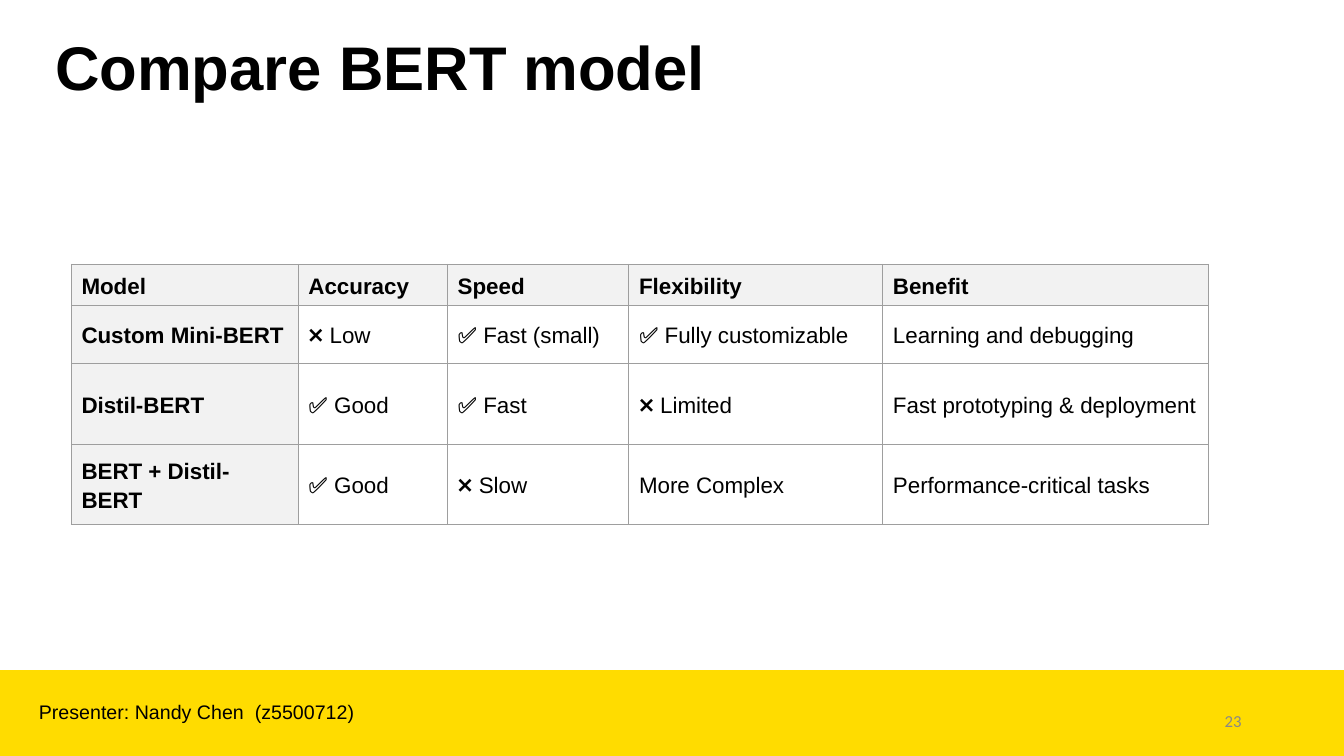
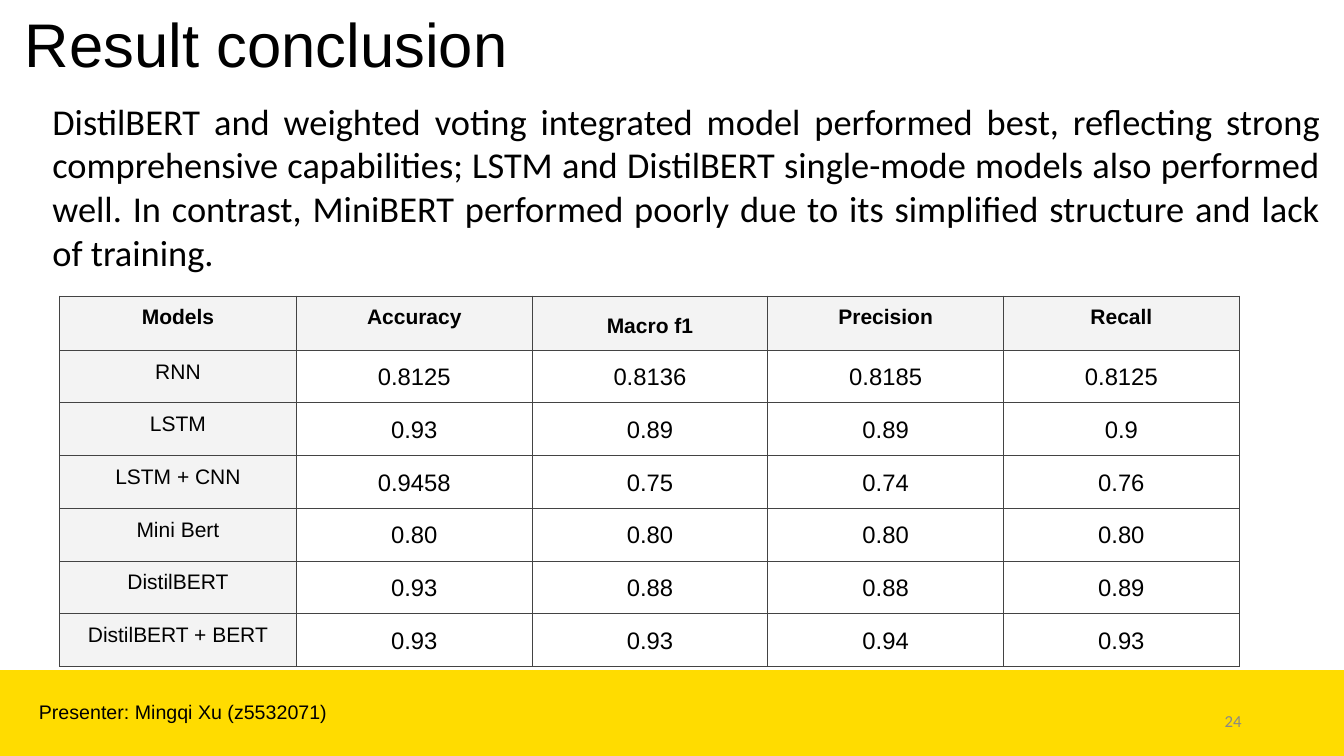
from typing import NamedTuple

from lxml import etree
from pptx import Presentation
from pptx.dml.color import RGBColor
from pptx.enum import shapes, text
from pptx.oxml import ns
from pptx.util import Cm, Pt

BLACK = RGBColor(0x00, 0x00, 0x00)
YELLOW = RGBColor(0xFF, 0xDC, 0x00)
GRAY = RGBColor(0x88, 0x88, 0x88)
PALE = RGBColor(0xF2, 0xF2, 0xF2)
MIST = RGBColor(0xF3, 0xF3, 0xF3)
SILVER = RGBColor(0x9E, 0x9E, 0x9E)
SLATE = RGBColor(0x43, 0x43, 0x43)

LEFT, CENTER = text.PP_ALIGN.LEFT, text.PP_ALIGN.CENTER
RIGHT, JUSTIFY = text.PP_ALIGN.RIGHT, text.PP_ALIGN.JUSTIFY
TOP, MIDDLE = text.MSO_ANCHOR.TOP, text.MSO_ANCHOR.MIDDLE

WIDTH, HEIGHT = Cm(33.87), Cm(19.05)
BAND = Cm(2.16)


class Style(NamedTuple):
    size: float
    bold: bool = False
    align: text.PP_ALIGN = LEFT
    lead: float = 1.0
    font: str = "Arial"
    color: RGBColor = BLACK


class Box(NamedTuple):
    left: float
    top: float
    width: float
    height: float


class Grid(NamedTuple):
    """Look of a table; lengths are in centimetres."""
    left: float
    top: float
    cols: list[float]
    rows: list[float]
    head: Style
    side: Style
    body: Style
    fill: RGBColor
    line: RGBColor
    anchor: text.MSO_ANCHOR
    inset: float


TITLE = Style(44, lead=0.9)
FOOTER = Style(14)
NUMBER = Style(12, align=RIGHT, font="Calibri", color=GRAY)
PROSE = Style(26, align=JUSTIFY, font="Calibri")

BOLD = Style(16, bold=True, lead=1.15)
LABEL = Style(15, align=CENTER)

COMPARE = Grid(
    1.8, 6.66, [5.72, 3.76, 4.57, 6.4, 8.2], [1.04, 1.45, 2.04, 2.03],
    head=BOLD, side=BOLD, body=BOLD._replace(bold=False),
    fill=PALE, line=SILVER, anchor=MIDDLE, inset=0.13)
SCORES = Grid(
    1.5, 7.46, [5.97] + [5.94] * 4, [1.31] + [1.28] * 6,
    head=LABEL._replace(bold=True), side=LABEL,
    body=Style(17, align=CENTER, lead=1.15),
    fill=MIST, line=SLATE, anchor=TOP, inset=0.25)

MODELS = [
    ["Model", "Accuracy", "Speed", "Flexibility", "Benefit"],
    ["Custom Mini-BERT", "❌ Low", "✅ Fast (small)", "✅ Fully customizable",
     "Learning and debugging"],
    ["Distil-BERT", "✅ Good", "✅ Fast", "❌ Limited",
     "Fast prototyping & deployment"],
    ["BERT + Distil-BERT", "✅ Good", "❌ Slow", "More Complex",
     "Performance-critical tasks"],
]
RESULTS = [
    ["Models", "Accuracy", "Macro f1", "Precision", "Recall"],
    ["RNN", "0.8125", "0.8136", "0.8185", "0.8125"],
    ["LSTM", "0.93", "0.89", "0.89", "0.9"],
    ["LSTM + CNN", "0.9458", "0.75", "0.74", "0.76"],
    ["Mini Bert", "0.80", "0.80", "0.80", "0.80"],
    ["DistilBERT", "0.93", "0.88", "0.88", "0.89"],
    ["DistilBERT + BERT", "0.93", "0.93", "0.94", "0.93"],
]
SUMMARY = (
    "DistilBERT and weighted voting integrated model performed best, "
    "reflecting strong comprehensive capabilities; LSTM and DistilBERT "
    "single-mode models also performed well. In contrast, MiniBERT performed "
    "poorly due to its simplified structure and lack of training.")


def write(frame, words: str, style: Style) -> None:
    para = frame.paragraphs[0]
    para.alignment = style.align
    para.line_spacing = style.lead
    run = para.add_run()
    run.text = words
    run.font.name = style.font
    run.font.size = Pt(style.size)
    run.font.bold = style.bold
    run.font.color.rgb = style.color


def label(slide, box: Box, words: str, style: Style,
          anchor=TOP, inset: float = 0.13) -> None:
    """Add a text box; inset is its top and bottom margin."""
    frame = slide.shapes.add_textbox(*map(Cm, box)).text_frame
    frame.word_wrap = True
    frame.vertical_anchor = anchor
    frame.margin_top = frame.margin_bottom = Cm(inset)
    write(frame, words, style)


def start(deck, title: str, box: Box, bold: bool, name: str, page: int):
    """Add a slide with its title, yellow band, presenter and number."""
    slide = deck.slides.add_slide(deck.slide_layouts[6])
    band = slide.shapes.add_shape(
        shapes.MSO_SHAPE.RECTANGLE, 0, HEIGHT - BAND, WIDTH, BAND)
    band.shadow.inherit = False
    band.fill.solid()
    band.fill.fore_color.rgb = YELLOW
    band.line.fill.background()
    label(slide, box, title, TITLE._replace(bold=bold), inset=0.25)
    label(slide, Box(0.73, 17.5, 16.9, 0.9), f"Presenter: {name}", FOOTER)
    label(slide, Box(23.92, 17.65, 7.62, 1.02), str(page), NUMBER, MIDDLE)
    return slide


def edge(cell, color: RGBColor) -> None:
    """Rule all four sides of a cell; call before setting its fill."""
    props = cell._tc.get_or_add_tcPr()
    for side in ("a:lnL", "a:lnR", "a:lnT", "a:lnB"):
        line = etree.SubElement(props, ns.qn(side), w=str(Pt(0.75)))
        fill = etree.SubElement(line, ns.qn("a:solidFill"))
        etree.SubElement(fill, ns.qn("a:srgbClr"), val=str(color))


def tabulate(slide, grid: Grid, data: list[list[str]]):
    table = slide.shapes.add_table(
        len(grid.rows), len(grid.cols), Cm(grid.left), Cm(grid.top),
        Cm(sum(grid.cols)), Cm(sum(grid.rows))).table
    table.first_row = table.horz_banding = False
    for col, width in zip(table.columns, grid.cols):
        col.width = Cm(width)
    for row, height in zip(table.rows, grid.rows):
        row.height = Cm(height)
    for r, row in enumerate(data):
        for c, words in enumerate(row):
            cell = table.cell(r, c)
            cell.vertical_anchor = grid.anchor
            cell.margin_top = cell.margin_bottom = Cm(grid.inset)
            edge(cell, grid.line)
            if r == 0 or c == 0:
                cell.fill.solid()
                cell.fill.fore_color.rgb = grid.fill
            else:
                cell.fill.background()
            style = grid.head if r == 0 else grid.side if c == 0 else grid.body
            write(cell.text_frame, words, style)
    return table


def main() -> None:
    deck = Presentation()
    deck.slide_width, deck.slide_height = WIDTH, HEIGHT

    slide = start(deck, "Compare BERT model", Box(1.14, 0.69, 32.5, 2.39),
                  True, "Nandy Chen  (z5500712)", 23)
    tabulate(slide, COMPARE, MODELS)

    slide = start(deck, "Result conclusion", Box(0.38, 0.1, 13.9, 2.1),
                  False, "Mingqi Xu (z5532071)", 24)
    table = tabulate(slide, SCORES, RESULTS)
    table.cell(0, 2).text_frame.paragraphs[0].line_spacing = 1.36
    label(slide, Box(1.07, 2.24, 32.49, 4.8), SUMMARY, PROSE, inset=0.25)

    deck.save("out.pptx")


if __name__ == "__main__":
    main()
